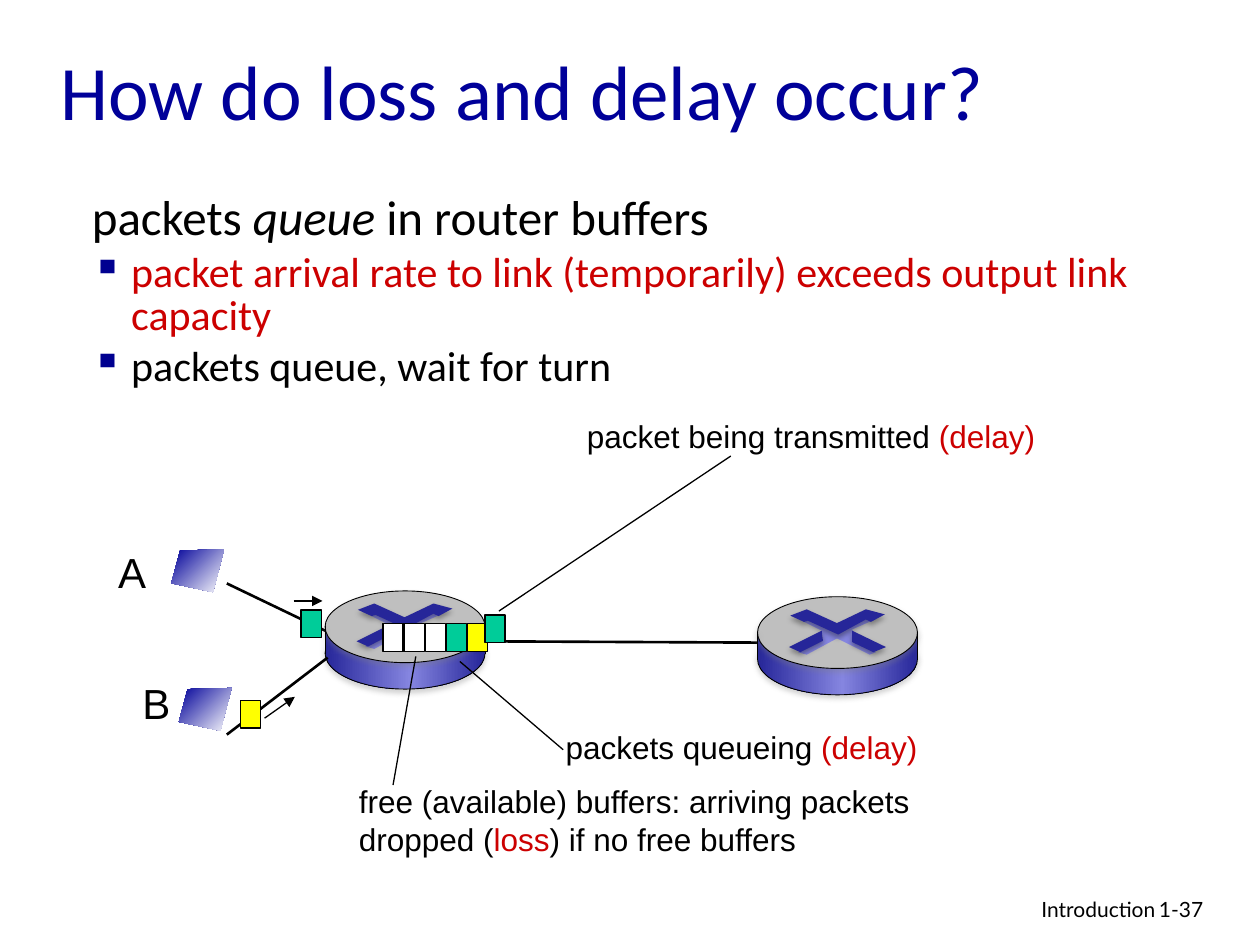
from dataclasses import dataclass

from lxml.etree import SubElement
from pptx import Presentation
from pptx.dml.color import RGBColor
from pptx.enum.shapes import MSO_CONNECTOR, MSO_SHAPE
from pptx.enum.text import MSO_ANCHOR, MSO_AUTO_SIZE, PP_ALIGN
from pptx.oxml.ns import qn
from pptx.util import Pt


@dataclass(frozen=True)
class Theme:
    ink: str = "000000"
    white: str = "FFFFFF"
    navy: str = "000099"
    bullet: str = "000090"
    red: str = "CC0000"
    green: str = "00CC99"
    yellow: str = "FFFF00"
    router_top: str = "BFBFBF"
    router_dark: str = "262699"
    router_light: str = "8585E0"
    shade: str = "808080"
    heading_font: str = "Calibri"
    label_font: str = "Arial"
    footer_font: str = "Lato"
    title_size: int = 44
    lead_size: int = 28
    body_size: int = 24
    label_size: int = 18
    footer_size: int = 12
    link_width: float = 1.5
    thin_width: float = 0.75
    rim_width: float = 0.5


def write(paragraph, text, font, size, color, italic=False):
    run = paragraph.add_run()
    run.text = text
    run.font.name = font
    run.font.size = Pt(size)
    run.font.color.rgb = RGBColor.from_string(color)
    run.font.italic = italic


class Sketch:
    def __init__(self, slide, theme):
        self.shapes = slide.shapes
        self.theme = theme

    def text(self, box, paragraphs, font, size, color=None, wrap=True,
             align=PP_ALIGN.LEFT, anchor=MSO_ANCHOR.TOP):
        frame = self.shapes.add_textbox(*map(Pt, box)).text_frame
        frame.word_wrap = wrap
        frame.auto_size = MSO_AUTO_SIZE.NONE if wrap else MSO_AUTO_SIZE.SHAPE_TO_FIT_TEXT
        frame.vertical_anchor = anchor
        for index, runs in enumerate(paragraphs):
            paragraph = frame.add_paragraph() if index else frame.paragraphs[0]
            paragraph.alignment = align
            for words, changes in runs:
                style = dict(font=font, size=size, color=color or self.theme.ink)
                write(paragraph, words, **(style | changes))
        return frame.paragraphs

    def label(self, box, *paragraphs, size=None):
        self.text(box, paragraphs, self.theme.label_font,
                  size or self.theme.label_size, wrap=False)

    def bullet(self, paragraph, indent):
        properties = paragraph._p.get_or_add_pPr()
        properties.set("marL", str(Pt(indent)))
        properties.set("indent", str(-Pt(indent)))
        color = SubElement(properties, qn("a:buClr"))
        SubElement(color, qn("a:srgbClr"), val=self.theme.bullet)
        SubElement(properties, qn("a:buChar"), char="▪")

    def shadow(self, effects, color, alpha, distance=1.8):
        cast = SubElement(effects, qn("a:outerShdw"), blurRad=str(Pt(3.1)),
                          dist=str(Pt(distance)), dir="5400000", rotWithShape="0")
        tint = SubElement(cast, qn("a:srgbClr"), val=color)
        SubElement(tint, qn("a:alpha"), val=str(alpha * 1000))

    def paint(self, shape, fill, outline=None, shadow=None, angle=0):
        if isinstance(fill, str):
            shape.fill.solid()
            shape.fill.fore_color.rgb = RGBColor.from_string(fill)
        else:
            shape.fill.gradient()
            stops = shape.element.spPr.find(qn("a:gradFill")).find(qn("a:gsLst"))
            stops.clear()
            for position, color in fill:
                stop = SubElement(stops, qn("a:gs"), pos=str(position * 1000))
                SubElement(stop, qn("a:srgbClr"), val=color)
            shape.fill.gradient_angle = -angle % 360
        if outline:
            shape.line.color.rgb = RGBColor.from_string(self.theme.ink)
            shape.line.width = Pt(outline)
        else:
            shape.line.fill.background()
        shape.shadow.inherit = False
        if shadow:
            self.shadow(shape.element.spPr.find(qn("a:effectLst")), shadow, 35)

    def preset(self, kind, box, fill, **look):
        self.paint(self.shapes.add_shape(kind, *map(Pt, box)), fill, **look)

    def outline(self, origin, points, fill, **look):
        left, top = origin
        corners = [(Pt(left + x), Pt(top + y)) for x, y in points]
        builder = self.shapes.build_freeform(*corners[0])
        builder.add_line_segments(corners[1:], close=True)
        self.paint(builder.convert_to_shape(), fill, **look)

    def line(self, start, end, width, arrow=False, shadow=None):
        link = self.shapes.add_connector(MSO_CONNECTOR.STRAIGHT, *map(Pt, (*start, *end)))
        link.line.color.rgb = RGBColor.from_string(self.theme.ink)
        link.line.width = Pt(width)
        properties = link.element.spPr
        if arrow:
            SubElement(properties.find(qn("a:ln")), qn("a:tailEnd"), type="triangle")
        effects = SubElement(properties, qn("a:effectLst"))
        if shadow:
            self.shadow(effects, shadow, 38, 1.6)

    def packet(self, left, top, color):
        self.preset(MSO_SHAPE.RECTANGLE, (left, top, 11.5, 15.8), color,
                    outline=self.theme.thin_width)

    def host(self, origin):
        screen = [(30.2, 0), (5, 0.7), (0, 19.4), (23.8, 24.5)]
        self.outline(origin, screen, [(0, self.theme.navy), (100, self.theme.white)], angle=45)

    def router(self, left, top):
        theme, page = self.theme, self.shapes
        self.shapes = page.add_group_shape().shapes
        width, height, rim = 91.4, 41, theme.rim_width
        metal = [(0, theme.router_dark), (53, theme.router_light), (100, theme.router_dark)]
        self.preset(MSO_SHAPE.OVAL, (left, top + 15.1, width, height), metal,
                    outline=rim, shadow=theme.shade)
        self.preset(MSO_SHAPE.RECTANGLE, (left, top + 20.9, width, 15.1), metal, angle=180)
        self.preset(MSO_SHAPE.OVAL, (left, top, width, height), theme.router_top,
                    outline=rim, shadow=theme.shade)
        cross = [(45.4, 23.8), (28.1, 33.1), (23, 31.7), (37.4, 25.2), (36.7, 19.4),
                 (26.6, 14.4), (30.2, 13), (45.4, 20.2), (61.2, 12.2), (65.5, 13.7),
                 (54, 18.7), (56.9, 26.6), (67.7, 31.7), (64.1, 33.1)]
        upper_arms = [(18.7, 10.8), (28.1, 7.2), (45.4, 15.1), (61.9, 7.2), (72.7, 10.1),
                      (64.8, 14.4), (61.9, 13), (46.1, 21.6), (28.8, 13.7), (26.6, 14.4)]
        right_arm = [(54, 19.4), (73.4, 28.8), (66.2, 31.7), (54, 25.9)]
        left_arm = [(36.7, 19.4), (37.4, 25.2), (24.5, 31.7), (18, 28.8)]
        self.outline((left, top), cross, theme.router_light)
        for arm in (upper_arms, right_arm, left_arm):
            self.outline((left, top), arm, theme.router_dark, shadow=theme.ink)
        for side in (left, left + width):
            self.line((side, top + 36), (side, top + 20.2), rim, shadow=theme.shade)
        self.shapes = page


def main():
    theme = Theme()
    deck = Presentation()
    deck.slide_width, deck.slide_height = Pt(720), Pt(540)
    sketch = Sketch(deck.slides.add_slide(deck.slide_layouts[6]), theme)
    red = {"color": theme.red}

    sketch.text((27.4, 6.5, 612, 90), [[("How do loss and delay occur?", {})]],
                theme.heading_font, theme.title_size, theme.navy, anchor=MSO_ANCHOR.MIDDLE)
    lead = {"size": theme.lead_size}
    lead_line, *points = sketch.text(
        (45.4, 108, 674.6, 166.3),
        [[("packets ", lead), ("queue", lead | {"italic": True}), (" in router buffers", lead)],
         [("packet arrival rate to link (temporarily) exceeds output link capacity", red)],
         [("packets queue, wait for turn", {})]],
        theme.heading_font, theme.body_size)
    lead_line.line_spacing = 0.85
    for point in points:
        sketch.bullet(point, 22.5)
        point.line_spacing = 0.85
        point.space_before = Pt(4.8)

    sketch.line((129.6, 333.4), (187.9, 361.4), theme.link_width)
    sketch.router(185.8, 337.7)
    sketch.line((280.8, 366.5), (433.4, 367.2), theme.link_width)
    sketch.line((129.6, 419.8), (187.2, 375.8), theme.link_width)
    sketch.router(432.9, 341)

    queue = [theme.white] * 3 + [theme.green, theme.yellow]
    for slot, color in enumerate(queue):
        sketch.packet(218.9 + 12.05 * slot, 356.4, color)
    sketch.packet(277.2, 351.4, theme.green)
    sketch.packet(172.1, 348.5, theme.green)
    sketch.packet(137.5, 400.3, theme.yellow)
    sketch.line((167.8, 343.4), (184.3, 343.4), theme.thin_width, arrow=True)
    sketch.line((151.2, 410.4), (168.5, 398.2), theme.thin_width, arrow=True)

    sketch.host((97.9, 313.9))
    sketch.host((102.2, 393.1))
    sketch.label((60.5, 308.9, 31.7, 36.4), [("A", {})], size=theme.body_size)
    sketch.label((74.2, 383.8, 30.2, 36.4), [("B", {})], size=theme.body_size)

    sketch.label((328.3, 234.7, 270.7, 28.8),
                 [("packet being transmitted ", {}), ("(delay)", red)])
    sketch.label((316.1, 412.6, 215.3, 28.8), [("packets queueing ", {}), ("(delay)", red)])
    sketch.label((198, 443.5, 334.8, 50.4),
                 [("free (available) buffers: arriving packets", {})],
                 [("dropped (", {}), ("loss", red), (") if no free buffers", {})])
    for start, end in (((417.6, 260.6), (285.1, 349.2)),
                       ((321.8, 428.4), (262.8, 378)),
                       ((224.6, 448.6), (237.6, 375.1))):
        sketch.line(start, end, theme.thin_width)

    sketch.text((439.2, 509, 228.2, 22.3), [[("Introduction", {})]],
                theme.footer_font, theme.footer_size, align=PP_ALIGN.RIGHT)
    sketch.text((655.2, 509, 53.3, 21.6), [[("1-37", {})]],
                theme.footer_font, theme.footer_size)
    deck.save("out.pptx")


if __name__ == "__main__":
    main()
